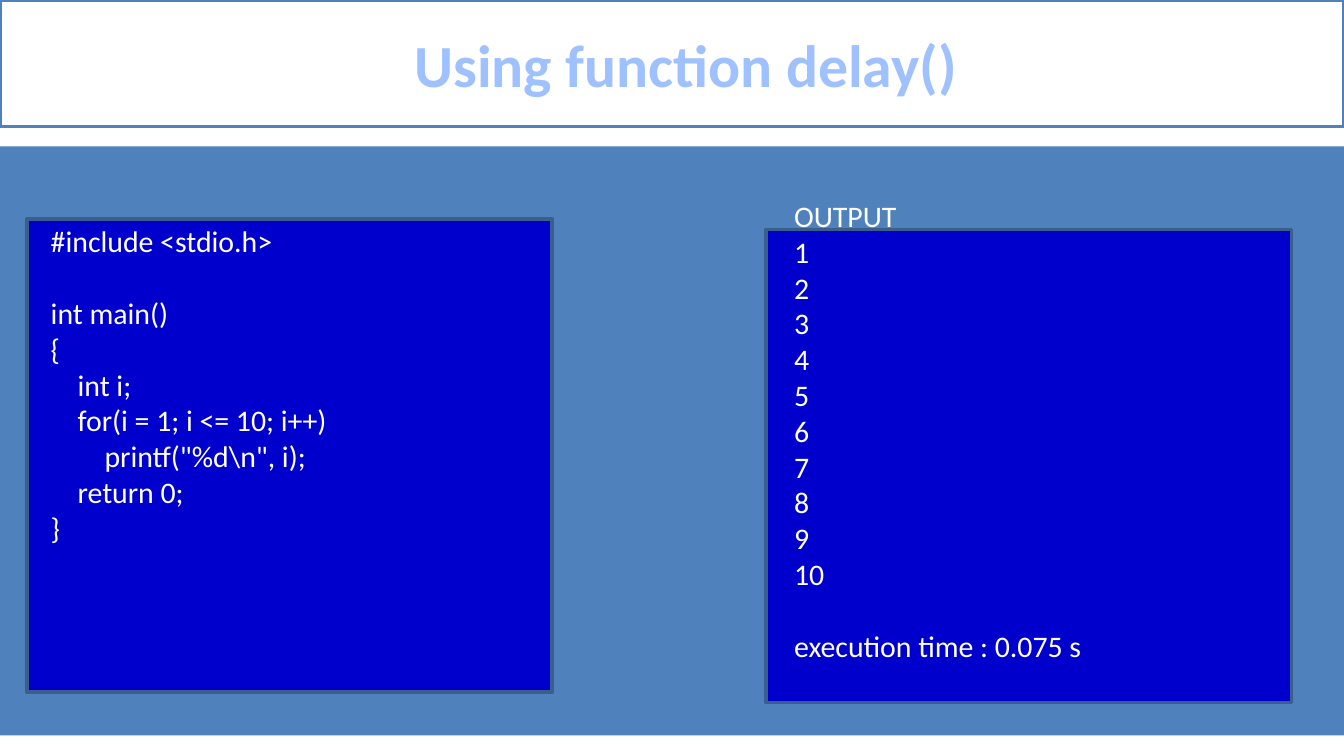
import pptx
import pptx.util
import pptx.dml.color
import pptx.enum.shapes
import pptx.enum.text

Cm, Pt = pptx.util.Cm, pptx.util.Pt
ALIGN = pptx.enum.text.PP_ALIGN

HEAD = "Using function delay()"
CODE = [
    "#include <stdio.h>",
    "",
    "int main()",
    "{",
    "    int i;",
    "    for(i = 1; i <= 10; i++)",
    "        printf(\"%d\\n\", i);",
    "    return 0;",
    "}",
]
OUT = ["OUTPUT", *map(str, range(1, 11)), "", "execution time : 0.075 s"]
PANES = [
    dict(lines=CODE, card=(0.51, 4.14), text=(0.71, 4.09), high=6.4),
    dict(lines=OUT, card=(14.48, 4.34), text=(14.76, 3.61), high=9.14),
]
CARD = (9.93, 8.94)
WIDE = 8.94
LEAD = 19.2


def tint(code):
    return pptx.dml.color.RGBColor.from_string(code)


def paint(shape, fill, line=None):
    shape.fill.solid()
    shape.fill.fore_color.rgb = tint(fill)
    if line:
        shape.line.color.rgb = tint(line)
        shape.line.width = Pt(2)
    else:
        shape.line.fill.background()


def rect(slide, box, fill, line=None):
    kind = pptx.enum.shapes.MSO_SHAPE.RECTANGLE
    shape = slide.shapes.add_shape(kind, *map(Cm, box))
    shape.shadow.inherit = False
    paint(shape, fill, line)


def write(para, text, size=16, color="FFFFFF", bold=False,
          align=ALIGN.LEFT, left=0.97, hang=-0.97, gap=0):
    props = para._p.get_or_add_pPr()
    props.set("marL", str(Cm(left)))
    props.set("indent", str(Cm(hang)))
    para.alignment = align
    para.space_before = Pt(gap)
    run = para.add_run()
    run.text = text
    font = run.font
    font.name, font.size, font.bold = "Calibri", Pt(size), bold
    font.color.rgb = tint(color)


def fill_text(frame, lines):
    para, gap = frame.paragraphs[0], 0
    for i, line in enumerate(lines):
        if not line:
            gap += LEAD
            continue
        if i:
            para = frame.add_paragraph()
        write(para, line, gap=gap)
        gap = 0


def main():
    deck = pptx.Presentation()
    deck.slide_width, deck.slide_height = Cm(25.4), Cm(14.29)
    slide = deck.slides.add_slide(deck.slide_layouts[5])

    title = slide.shapes.title
    title.left, title.top, title.width, title.height = map(Cm, (0, 0, 25.4, 2.39))
    paint(title, "FFFFFF", "4F81BD")
    title.text_frame.vertical_anchor = pptx.enum.text.MSO_ANCHOR.MIDDLE
    write(title.text_frame.paragraphs[0], HEAD, size=32, color="A0C1FF",
          bold=True, align=ALIGN.CENTER, left=0.53, hang=0)

    rect(slide, (0, 2.77, 25.4, 11.13), "4F81BD")
    for pane in PANES:
        rect(slide, pane["card"] + CARD, "0000CC", "3A5F8C")
        box = slide.shapes.add_textbox(*map(Cm, pane["text"] + (WIDE, pane["high"])))
        box.text_frame.word_wrap = True
        fill_text(box.text_frame, pane["lines"])

    deck.save("out.pptx")


if __name__ == "__main__":
    main()
